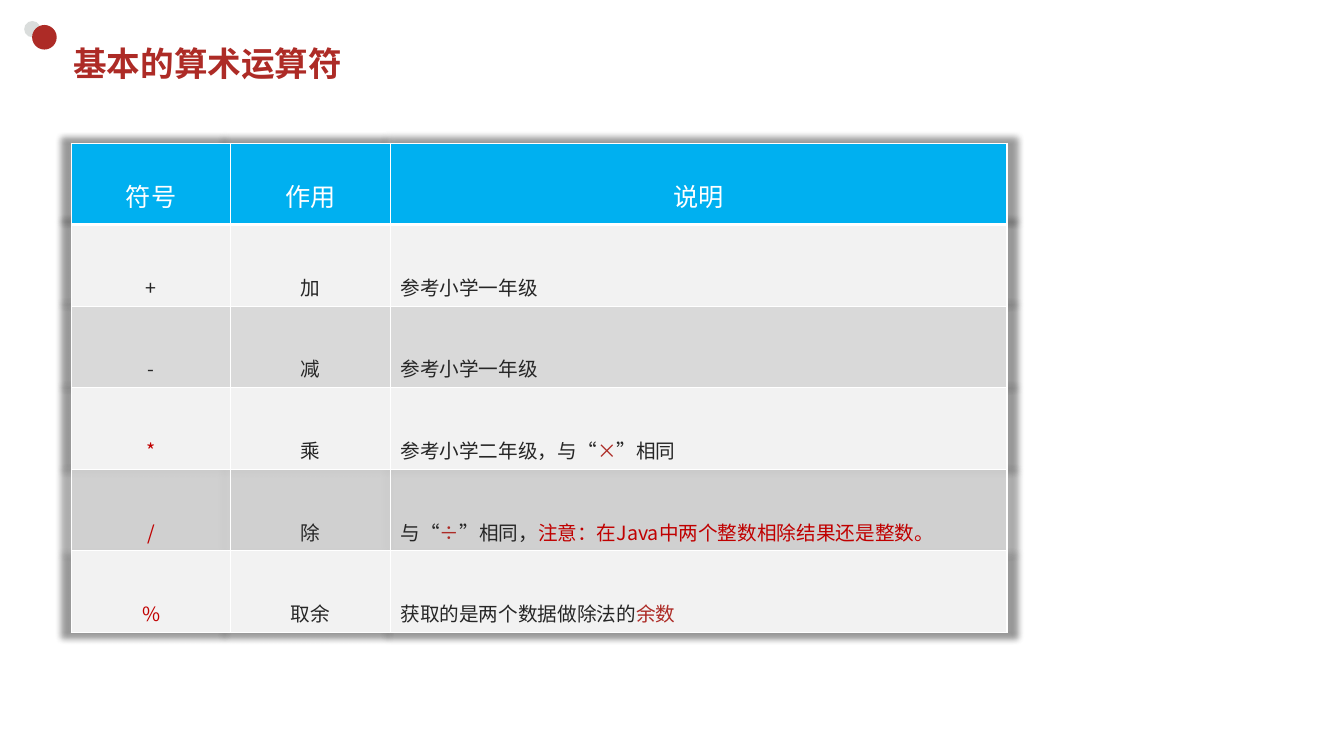
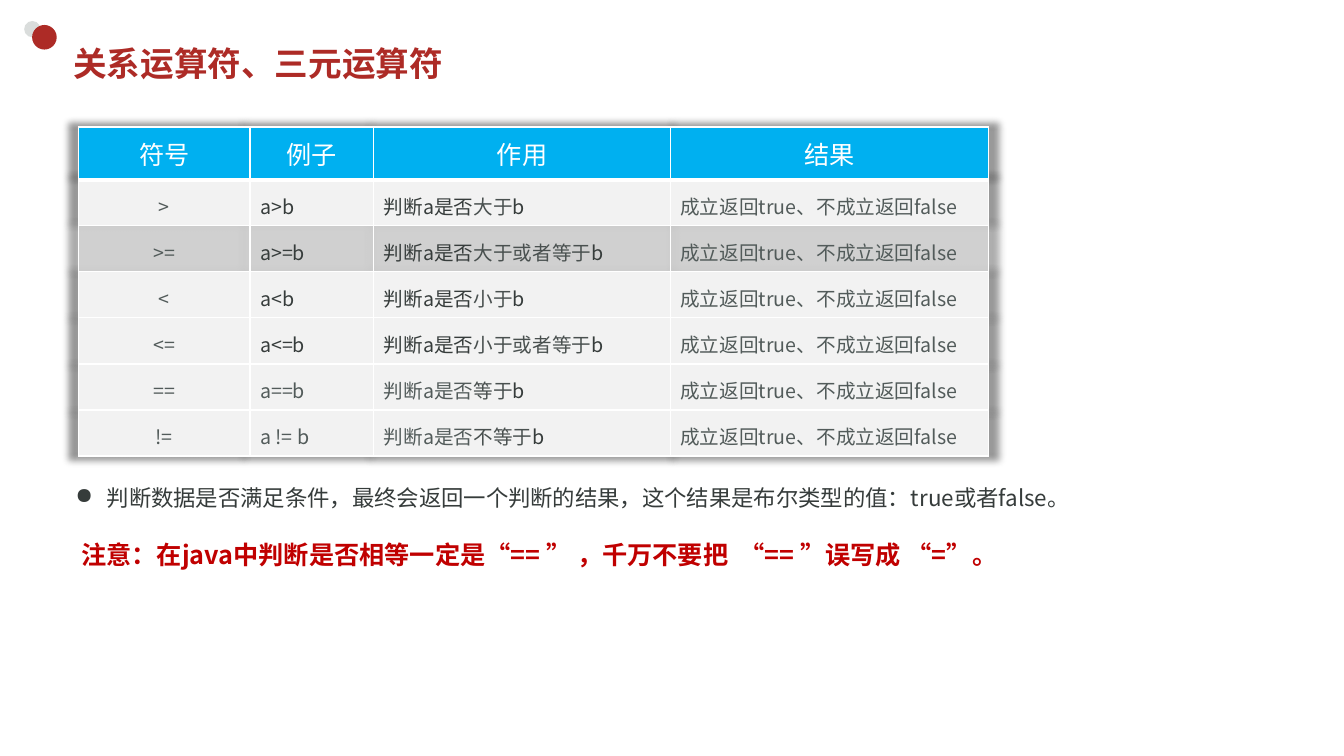
"""Build two slides on Java arithmetic and relational operators."""
from dataclasses import dataclass
from typing import NamedTuple

import pptx
import pptx.dml.color
import pptx.enum.lang
import pptx.enum.shapes
import pptx.enum.text
import pptx.oxml
import pptx.oxml.ns
import pptx.presentation
import pptx.slide
import pptx.table
import pptx.text.text
import pptx.util
from lxml import etree

Cm = pptx.util.Cm
Pt = pptx.util.Pt
qn = pptx.oxml.ns.qn
ALIGN = pptx.enum.text.PP_ALIGN
ANCHOR = pptx.enum.text.MSO_ANCHOR


@dataclass(frozen=True)
class Theme:
    brand: str = "AD2B26"
    dot: str = "DADDDC"
    header: str = "00B0F0"
    white: str = "FFFFFF"
    light: str = "F2F2F2"
    band: str = "D9D9D9"
    ink: str = "262626"
    alert: str = "C00000"
    dark: str = "363C3B"
    mid: str = "49504F"
    grey: str = "525B5A"
    title_pt: int = 24
    head_pt: int = 18
    bullet_pt: int = 16
    body_pt: int = 14
    title_font: str = "Noto Sans Mono"
    head_font: str = "Arial"
    body_font: str = "Noto Sans CJK JP"


T = Theme()


class Style(NamedTuple):
    size: int
    font: str = T.body_font
    bold: bool = False


class Run(NamedTuple):
    text: str
    color: str


class Box(NamedTuple):
    left: float
    top: float
    width: float
    height: float


class Row(NamedTuple):
    cells: list[list[Run]]
    fill: str = T.light
    opacity: int = 100


@dataclass(frozen=True)
class Grid:
    left: float
    top: float
    widths: list[float]
    head_height: float
    row_height: float
    head_spacing: float
    row_spacing: float
    centred: int
    heads: list[str]
    rows: list[Row]


TITLE = Style(T.title_pt, T.title_font, True)
HEAD = Style(T.head_pt, T.head_font)
BODY = Style(T.body_pt)
BULLET = Style(T.bullet_pt)
NOTE = Style(T.head_pt, bold=True)


def rgb(color: str) -> pptx.dml.color.RGBColor:
    return pptx.dml.color.RGBColor.from_string(color)


def add_runs(p: pptx.text.text._Paragraph, runs: list[Run], style: Style) -> None:
    for run in runs:
        r = p.add_run()
        r.text = run.text
        r.font.size = Pt(style.size)
        r.font.bold = style.bold
        r.font.name = style.font
        r.font.color.rgb = rgb(run.color)
        r.font.language_id = pptx.enum.lang.MSO_LANGUAGE_ID.SIMPLIFIED_CHINESE
        etree.SubElement(r._r.get_or_add_rPr(), qn("a:ea"), typeface=style.font)


def add_text(s: pptx.slide.Slide, box: Box, run: Run, style: Style,
             spacing: float = 1.0, anchor: ANCHOR = ANCHOR.TOP, bullet: str = "") -> None:
    tf = s.shapes.add_textbox(*map(Cm, box)).text_frame
    tf.word_wrap = True
    tf.vertical_anchor = anchor
    p = tf.paragraphs[0]
    p.line_spacing = spacing
    if bullet:
        pPr = p._p.get_or_add_pPr()
        indent = Cm(0.79)
        pPr.set("marL", str(indent))
        pPr.set("indent", str(-indent))
        etree.SubElement(pPr, qn("a:buChar"), char=bullet)
    add_runs(p, [run], style)


def add_dot(s: pptx.slide.Slide, left: float, top: float, size: float, color: str) -> None:
    sp = s.shapes.add_shape(pptx.enum.shapes.MSO_SHAPE.OVAL, *map(Cm, (left, top, size, size)))
    sp.shadow.inherit = False
    sp.fill.solid()
    sp.fill.fore_color.rgb = rgb(color)
    sp.line.fill.background()


def set_borders(cell: pptx.table._Cell, top: float, bottom: float) -> None:
    tcPr = cell._tc.get_or_add_tcPr()
    for i, (side, width) in enumerate(dict(L=1, R=1, T=top, B=bottom).items()):
        ln = etree.Element(qn(f"a:ln{side}"), w=str(Pt(width)))
        fill = etree.SubElement(ln, qn("a:solidFill"))
        etree.SubElement(fill, qn("a:srgbClr"), val=T.white)
        tcPr.insert(i, ln)


def fill_cell(cell: pptx.table._Cell, color: str, opacity: int) -> None:
    cell.fill.solid()
    cell.fill.fore_color.rgb = rgb(color)
    if opacity < 100:
        clr = cell._tc.get_or_add_tcPr().find(".//" + qn("a:srgbClr"))
        etree.SubElement(clr, qn("a:alpha"), val=str(opacity * 1000))


def add_glow(tbl: pptx.table.Table) -> None:
    effects = pptx.oxml.parse_xml(
        f'<a:effectLst {pptx.oxml.ns.nsdecls("a")}>'
        '<a:outerShdw blurRad="63500" sx="102000" sy="102000" algn="ctr" rotWithShape="0">'
        '<a:prstClr val="black"><a:alpha val="40000"/></a:prstClr>'
        '</a:outerShdw></a:effectLst>')
    tbl._tbl.tblPr.insert(0, effects)


def add_grid(s: pptx.slide.Slide, grid: Grid) -> None:
    head = Row([[Run(text, T.white)] for text in grid.heads], T.header)
    rows = [head, *grid.rows]
    height = grid.head_height + grid.row_height * len(grid.rows)
    tbl = s.shapes.add_table(len(rows), len(grid.widths), Cm(grid.left), Cm(grid.top),
                             Cm(sum(grid.widths)), Cm(height)).table
    tbl.first_row = tbl.horz_banding = False
    add_glow(tbl)
    for col, width in zip(tbl.columns, grid.widths):
        col.width = Cm(width)
    for i, row in enumerate(rows):
        is_head = i == 0
        tbl.rows[i].height = Cm(grid.head_height if is_head else grid.row_height)
        for j, runs in enumerate(row.cells):
            cell = tbl.cell(i, j)
            cell.vertical_anchor = ANCHOR.MIDDLE
            fill_cell(cell, row.fill, row.opacity)
            set_borders(cell, 3 if i == 1 else 1, 3 if is_head else 1)
            p = cell.text_frame.paragraphs[0]
            p.alignment = ALIGN.CENTER if is_head or j < grid.centred else ALIGN.LEFT
            p.line_spacing = grid.head_spacing if is_head else grid.row_spacing
            add_runs(p, runs, HEAD if is_head else BODY)


def add_slide(prs: pptx.presentation.Presentation, title: str, grid: Grid) -> pptx.slide.Slide:
    s = prs.slides.add_slide(prs.slide_layouts[6])
    add_dot(s, 0.61, 0.53, 0.41, T.dot)
    add_dot(s, 0.81, 0.63, 0.62, T.brand)
    add_grid(s, grid)
    add_text(s, Box(1.6, 0.94, 29.85, 1.32), Run(title, T.brand), TITLE, anchor=ANCHOR.MIDDLE)
    return s


def arithmetic(symbol: str, name: str, notes: list[Run], color: str = T.ink,
               fill: str = T.light, opacity: int = 100) -> Row:
    return Row([[Run(symbol, color)], [Run(name, T.ink)], notes], fill, opacity)


def relation(symbol: str, example: str, verb: str, color: str = T.dark,
             fill: str = T.light, opacity: int = 100) -> Row:
    return Row([
        [Run(symbol, T.grey)],
        [Run(example, color)],
        [Run("判断a是否", color), Run(verb, T.mid), Run("b", T.dark)],
        [Run("成立返回true、不成立返回false", T.grey)],
    ], fill, opacity)


ARITHMETIC = Grid(
    1.8, 3.61, [4.02, 4.02, 15.54], 2.05, 2.05, 2.0, 2.5, 2,
    ["符号", "作用", "说明"],
    [
        arithmetic("+", "加", [Run("参考小学一年级", T.ink)]),
        arithmetic("-", "减", [Run("参考小学一年级", T.ink)], fill=T.band),
        arithmetic("*", "乘", [Run("参考小学二年级，与“", T.ink), Run("×", T.brand),
                              Run("”相同", T.ink)], T.alert),
        arithmetic("/", "除", [Run("与“", T.ink), Run("÷", T.brand), Run("”相同，", T.ink),
                              Run("注意：在Java中两个整数相除结果还是整数。", T.alert)],
                   T.alert, T.band, 80),
        arithmetic("%", "取余", [Run("获取的是两个数据做除法的", T.ink),
                               Run("余数", T.brand)], T.alert),
    ])

RELATIONS = Grid(
    1.98, 3.2, [4.32, 3.12, 7.47, 8.03], 1.33, 1.16, 1.2, 1.2, 1,
    ["符号", "例子", "作用", "结果"],
    [
        relation(">", "a>b", "大于"),
        relation(">=", "a>=b", "大于或者等于", fill=T.band, opacity=80),
        relation("<", "a<b", "小于"),
        relation("<=", "a<=b", "小于或者等于"),
        relation("==", "a==b", "等于", T.grey),
        relation("!=", "a != b", "不等于", T.grey),
    ])


def main() -> None:
    prs = pptx.Presentation()
    prs.slide_width, prs.slide_height = Cm(33.87), Cm(19.05)
    add_slide(prs, "基本的算术运算符", ARITHMETIC)
    s = add_slide(prs, "关系运算符、三元运算符", RELATIONS)
    add_text(s, Box(1.8, 13.31, 23.34, 1.12),
             Run("注意：在java中判断是否相等一定是“== ” ，千万不要把  “== ”误写成 “=”。", T.alert),
             NOTE, 1.2)
    add_text(s, Box(1.65, 11.94, 25.76, 1.04),
             Run("判断数据是否满足条件，最终会返回一个判断的结果，这个结果是布尔类型的值：true或者false。", T.dark),
             BULLET, 1.2, bullet="●")
    prs.save("out.pptx")


if __name__ == "__main__":
    main()
